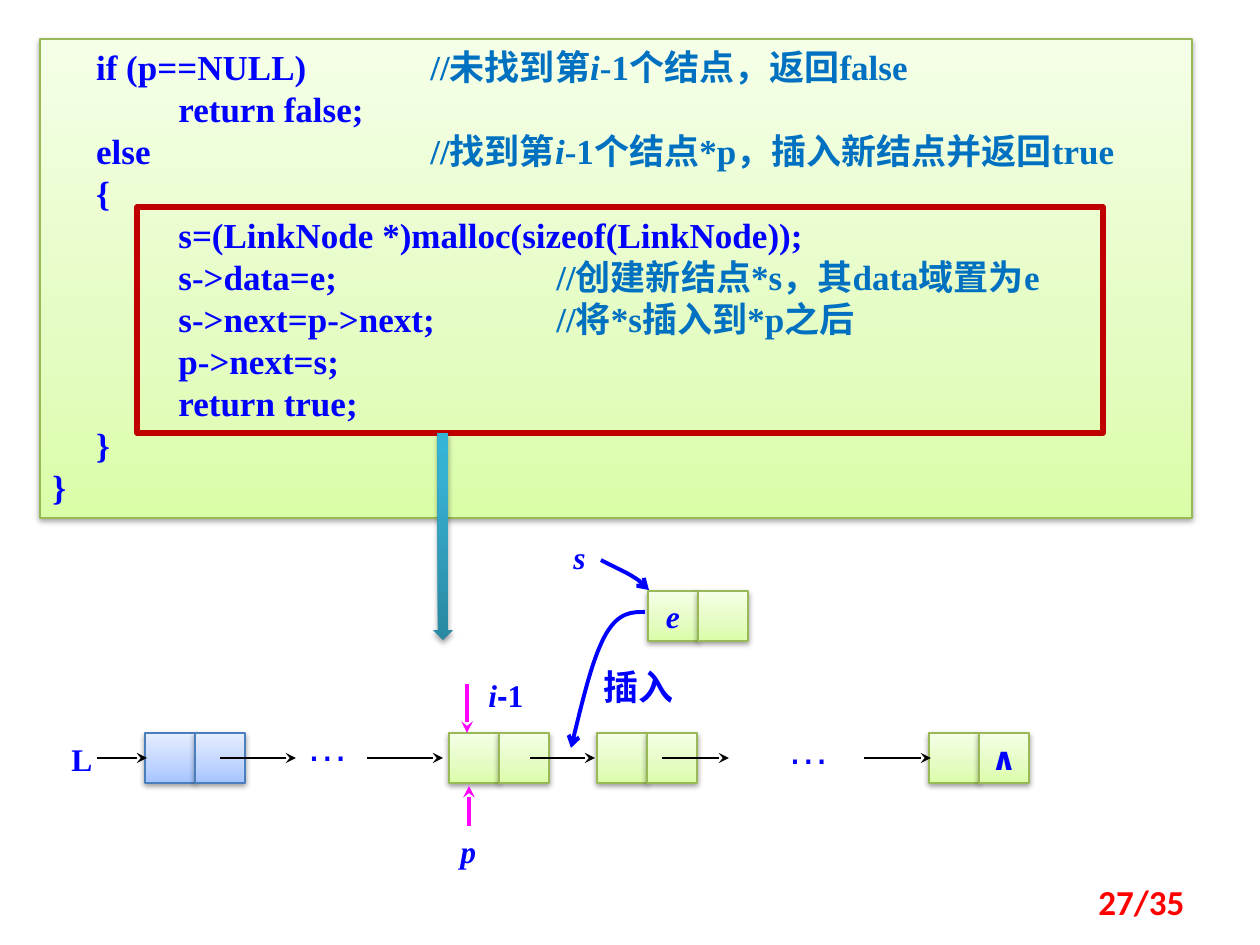
import copy

import pptx
import pptx.dml.color
import pptx.enum.shapes
import pptx.enum.text
import pptx.oxml
import pptx.oxml.ns
import pptx.util

RGBColor = pptx.dml.color.RGBColor
Pt = pptx.util.Pt
qn = pptx.oxml.ns.qn
SHAPE = pptx.enum.shapes.MSO_SHAPE
ALIGN = pptx.enum.text.PP_ALIGN
ANCHOR = pptx.enum.text.MSO_ANCHOR

PX = 914400 / 126
TAB = round(126 * PX)
BLUE = RGBColor(0x00, 0x00, 0xFF)
COMMENT = RGBColor(0x00, 0x70, 0xC0)
BLACK = RGBColor(0x00, 0x00, 0x00)
MAGENTA = RGBColor(0xFF, 0x00, 0xFF)
RED = RGBColor(0xFF, 0x00, 0x00)
DARK_RED = RGBColor(0xC0, 0x00, 0x00)
GREEN_LINE = RGBColor(0x98, 0xB9, 0x55)
HEAD_LINE = RGBColor(0x4B, 0x7E, 0xBC)
GREEN_STOPS = [
    (0, RGBColor(0xDA, 0xFD, 0xA7)),
    (0.35, RGBColor(0xE4, 0xFC, 0xC2)),
    (1, RGBColor(0xF5, 0xFF, 0xE7)),
]
HEAD_STOPS = [
    (0, RGBColor(0xA4, 0xC4, 0xFF)),
    (0.35, RGBColor(0xBF, 0xD4, 0xFF)),
    (1, RGBColor(0xE6, 0xEE, 0xFF)),
]
TEAL_STOPS = [
    (0, RGBColor(0x2A, 0x88, 0xA2)),
    (0.8, RGBColor(0x37, 0xB1, 0xD2)),
    (1, RGBColor(0x34, 0xB4, 0xD6)),
]
SERIF = "Times New Roman"
NAMESPACE = pptx.oxml.ns.nsdecls("a")

presentation = pptx.Presentation()
presentation.slide_width = round(1260 * PX)
presentation.slide_height = round(945 * PX)
slide = presentation.slides.add_slide(presentation.slide_layouts[6])


def add_gradient_shape(kind, box, stops, line_color=None):
    shape = slide.shapes.add_shape(kind, *[round(value * PX) for value in box])
    shape.fill.gradient()
    shape.fill.gradient_angle = 90
    stop_list = shape._element.spPr.find(qn("a:gradFill")).find(qn("a:gsLst"))
    stop_list.append(copy.deepcopy(stop_list[0]))
    for stop, (position, color) in zip(shape.fill.gradient_stops, stops):
        stop.position = position
        stop.color.rgb = color
    if line_color is None:
        shape.line.fill.background()
    else:
        shape.line.color.rgb = line_color
        shape.line.width = Pt(0.75)
    shape.shadow.inherit = False
    shape._element.spPr.find(qn("a:effectLst")).append(pptx.oxml.parse_xml(
        f'<a:outerShdw {NAMESPACE} blurRad="40000" dist="20000" dir="5400000" rotWithShape="0">'
        '<a:srgbClr val="000000"><a:alpha val="38000"/></a:srgbClr></a:outerShdw>'))
    return shape


def style_arrow(shape, color, width, head):
    shape.line.color.rgb = color
    shape.line.width = Pt(width)
    properties = shape._element.spPr
    properties.find(qn("a:ln")).append(
        pptx.oxml.parse_xml(f'<a:tailEnd {NAMESPACE} type="{head}"/>'))
    properties.append(pptx.oxml.parse_xml(f"<a:effectLst {NAMESPACE}/>"))


code_lines = [
    ("     if (p==NULL)\t", ["//未找到第", "i", "-1个结点，返回false"]),
    ("\treturn false;", []),
    ("     else\t\t\t", ["//找到第", "i", "-1个结点*p，插入新结点并返回true"]),
    ("     {", []),
    ("\ts=(LinkNode *)malloc(sizeof(LinkNode));", []),
    ("\ts->data=e;\t\t", ["//创建新结点*s，其data域置为e"]),
    ("\ts->next=p->next;\t", ["//将*s插入到*p之后"]),
    ("\tp->next=s;", []),
    ("\treturn true;", []),
    ("     }", []),
    ("}", []),
]
code_panel = add_gradient_shape(SHAPE.RECTANGLE, (40, 39, 1152, 479), GREEN_STOPS, GREEN_LINE)
code_frame = code_panel.text_frame
code_frame.word_wrap = True
code_frame.vertical_anchor = ANCHOR.TOP
for index, (code, comment) in enumerate(code_lines):
    paragraph = code_frame.add_paragraph() if index else code_frame.paragraphs[0]
    paragraph.alignment = ALIGN.LEFT
    paragraph.line_spacing = Pt(24)
    paragraph._p.get_or_add_pPr().set("defTabSz", str(TAB))
    for text in [code] + comment:
        run = paragraph.add_run()
        run.text = text
        run.font.name = SERIF
        run.font.size = Pt(20)
        run.font.bold = True
        run.font.italic = text == "i"
        run.font.color.rgb = BLUE if text == code else COMMENT

CELL = 50
nodes = [
    (145, 733, HEAD_STOPS, HEAD_LINE, "", ""),
    (449, 733, GREEN_STOPS, GREEN_LINE, "", ""),
    (597, 733, GREEN_STOPS, GREEN_LINE, "", ""),
    (929, 733, GREEN_STOPS, GREEN_LINE, "", "∧"),
    (648, 591, GREEN_STOPS, GREEN_LINE, "e", ""),
]
for left, top, stops, line_color, *texts in nodes:
    for column, text in enumerate(texts):
        cell = add_gradient_shape(
            SHAPE.RECTANGLE, (left + column * CELL, top, CELL, CELL), stops, line_color)
        if text:
            cell.text_frame.word_wrap = False
            cell.text_frame.vertical_anchor = ANCHOR.MIDDLE
            paragraph = cell.text_frame.paragraphs[0]
            paragraph.alignment = ALIGN.CENTER
            run = paragraph.add_run()
            run.text = text
            run.font.name = SERIF if text == "e" else "DejaVu Sans"
            run.font.size = Pt(18)
            run.font.bold = True
            run.font.italic = text == "e"
            run.font.color.rgb = BLUE

arrows = [
    (97, 758, 147, 758, BLACK, 0.75),
    (220, 758, 296, 758, BLACK, 0.75),
    (367, 758, 443, 758, BLACK, 0.75),
    (530, 758, 595, 758, BLACK, 0.75),
    (662, 758, 729, 758, BLACK, 0.75),
    (864, 758, 931, 758, BLACK, 0.75),
    (467, 684, 467, 733, MAGENTA, 2.25),
    (469, 826, 469, 786, MAGENTA, 2.25),
]
for *ends, color, width in arrows:
    arrow = slide.shapes.add_connector(
        pptx.enum.shapes.MSO_CONNECTOR.STRAIGHT, *[round(value * PX) for value in ends])
    style_arrow(arrow, color, width, "stealth")

curves = [
    [(645, 612), (632, 612), (619, 612), (606, 634), (593, 657), (582, 703), (571, 748)],
    [(601, 560), (612, 566), (624, 571), (632, 576), (640, 581), (645, 585), (649, 590)],
]
for points in curves:
    builder = slide.shapes.build_freeform(*points[0], scale=PX)
    builder.add_line_segments(points[1:], close=False)
    curve = builder.convert_to_shape()
    curve.fill.background()
    segments = list(curve._element.spPr.iter(qn("a:lnTo")))
    for start in range(0, len(segments), 3):
        bezier = pptx.oxml.parse_xml(f"<a:cubicBezTo {NAMESPACE}/>")
        segments[start].addprevious(bezier)
        for segment in segments[start:start + 3]:
            bezier.append(segment[0])
            segment.getparent().remove(segment)
    style_arrow(curve, BLUE, 2.25, "arrow")

labels = [
    ((591, 659, 108, 55), 20, BLUE, True, [("插入", SERIF, False)]),
    ((59, 734, 37, 50), 18, BLUE, True, [("L", SERIF, False)]),
    ((294, 713, 95, 63), 24, BLUE, False, [("…", "Arial", False)]),
    ((775, 716, 100, 63), 24, BLUE, False, [("…", "Arial", False)]),
    ((476, 670, 81, 50), 18, BLUE, True,
     [("i", SERIF, True), ("-", "Arial", False), ("1", SERIF, False)]),
    ((448, 826, 49, 50), 18, BLUE, True, [("p", SERIF, True)]),
    ((561, 532, 49, 50), 18, BLUE, True, [("s", SERIF, True)]),
    ((903, 877, 294, 50), 20, RED, True, [("27/35", "Calibri", False)]),
]
for box, size, color, bold, runs in labels:
    label = slide.shapes.add_textbox(*[round(value * PX) for value in box])
    label.text_frame.word_wrap = True
    paragraph = label.text_frame.paragraphs[0]
    if color == RED:
        label.text_frame.vertical_anchor = ANCHOR.MIDDLE
        paragraph.alignment = ALIGN.RIGHT
    for text, font_name, italic in runs:
        run = paragraph.add_run()
        run.text = text
        run.font.name = font_name
        run.font.size = Pt(size)
        run.font.bold = bold
        run.font.italic = italic
        run.font.color.rgb = color

highlight = slide.shapes.add_shape(
    SHAPE.RECTANGLE, *[round(value * PX) for value in (137, 207, 966, 226)])
highlight.fill.background()
highlight.line.color.rgb = DARK_RED
highlight.line.width = Pt(3)
highlight.shadow.inherit = False

add_gradient_shape(SHAPE.DOWN_ARROW, (433, 433, 20, 207), TEAL_STOPS)

presentation.save("out.pptx")
